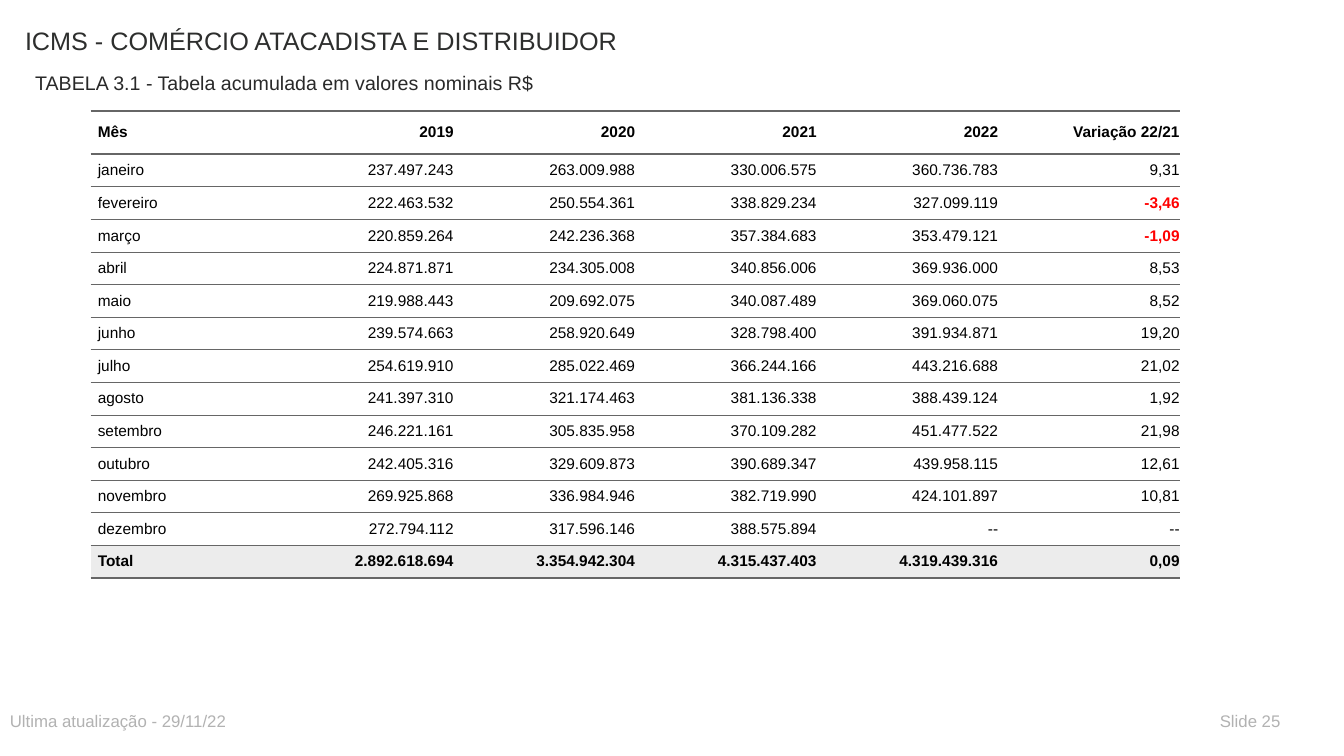
from lxml.etree import SubElement
from pptx import Presentation
from pptx.dml.color import RGBColor
from pptx.enum.text import MSO_ANCHOR, PP_ALIGN
from pptx.oxml.ns import qn
from pptx.util import Inches, Pt


def write(tf, text, size=11, color="000000", bold=False, align=PP_ALIGN.LEFT):
    p = tf.paragraphs[0]
    p.alignment = align
    r = p.add_run()
    r.text = text
    r.font.name = "Arial"
    r.font.size = Pt(size)
    r.font.bold = bold
    r.font.color.rgb = RGBColor.from_string(color)


def add_border(cell, side, width):
    ln = SubElement(cell._tc.get_or_add_tcPr(), qn(f"a:{side}"), w=str(Pt(width)))
    fill = SubElement(ln, qn("a:solidFill"))
    SubElement(fill, qn("a:srgbClr"), val="666666")


prs = Presentation()
prs.slide_width = Inches(13.33)
prs.slide_height = Inches(7.5)
s = prs.slides.add_slide(prs.slide_layouts[6])

texts = [
    ("ICMS - COMÉRCIO ATACADISTA E DISTRIBUIDOR", 0.15, 0.2, 8, 0.59, 18, "2D2E2D"),
    ("TABELA 3.1 - Tabela acumulada em valores nominais R$", 0.25, 0.65, 6.5, 0.3, 14, "292929"),
    ("Ultima atualização - 29/11/22", 0, 7, 6.5, 0.3, 12, "B2B2B2"),
    ("Slide 25", 12, 7, 0.9, 0.3, 12, "B2B2B2"),
]
for text, x, y, w, h, size, color in texts:
    tf = s.shapes.add_textbox(Inches(x), Inches(y), Inches(w), Inches(h)).text_frame
    tf.word_wrap = True
    write(tf, text, size=size, color=color)

rows = [
    ("Mês", "2019", "2020", "2021", "2022", "Variação 22/21"),
    ("janeiro", "237.497.243", "263.009.988", "330.006.575", "360.736.783", "9,31"),
    ("fevereiro", "222.463.532", "250.554.361", "338.829.234", "327.099.119", "-3,46"),
    ("março", "220.859.264", "242.236.368", "357.384.683", "353.479.121", "-1,09"),
    ("abril", "224.871.871", "234.305.008", "340.856.006", "369.936.000", "8,53"),
    ("maio", "219.988.443", "209.692.075", "340.087.489", "369.060.075", "8,52"),
    ("junho", "239.574.663", "258.920.649", "328.798.400", "391.934.871", "19,20"),
    ("julho", "254.619.910", "285.022.469", "366.244.166", "443.216.688", "21,02"),
    ("agosto", "241.397.310", "321.174.463", "381.136.338", "388.439.124", "1,92"),
    ("setembro", "246.221.161", "305.835.958", "370.109.282", "451.477.522", "21,98"),
    ("outubro", "242.405.316", "329.609.873", "390.689.347", "439.958.115", "12,61"),
    ("novembro", "269.925.868", "336.984.946", "382.719.990", "424.101.897", "10,81"),
    ("dezembro", "272.794.112", "317.596.146", "388.575.894", "--", "--"),
    ("Total", "2.892.618.694", "3.354.942.304", "4.315.437.403", "4.319.439.316", "0,09"),
]
last = len(rows) - 1
table = s.shapes.add_table(len(rows), len(rows[0]), Inches(0.9), Inches(1.1),
                           Inches(10.8), Inches(3.68)).table
table.first_row = False
table.horz_banding = False
table._tbl.tblPr.find(qn("a:tableStyleId")).text = "{2D5ABB26-0587-4C30-8999-92F81FD0307C}"
for col in table.columns:
    col.width = Inches(1.8)

for i, row in enumerate(rows):
    table.rows[i].height = Inches(0.43 if i == 0 else 0.25)
    for j, text in enumerate(row):
        cell = table.cell(i, j)
        cell.vertical_anchor = MSO_ANCHOR.MIDDLE
        cell.margin_left = Inches(0.07 if j == 0 else 0)
        cell.margin_right = Inches(0)
        cell.margin_top = cell.margin_bottom = Inches(0.07)
        add_border(cell, "lnT", 2 if i <= 1 else 0.5)
        add_border(cell, "lnB", 2 if i in (0, last) else 0.5)
        cell.fill.solid()
        cell.fill.fore_color.rgb = RGBColor.from_string("ECECEC" if i == last else "FFFFFF")
        negative = text.startswith("-") and text != "--"
        write(cell.text_frame, text, color="FF0000" if negative else "000000",
              bold=negative or i in (0, last),
              align=PP_ALIGN.LEFT if j == 0 else PP_ALIGN.RIGHT)

prs.save("out.pptx")
